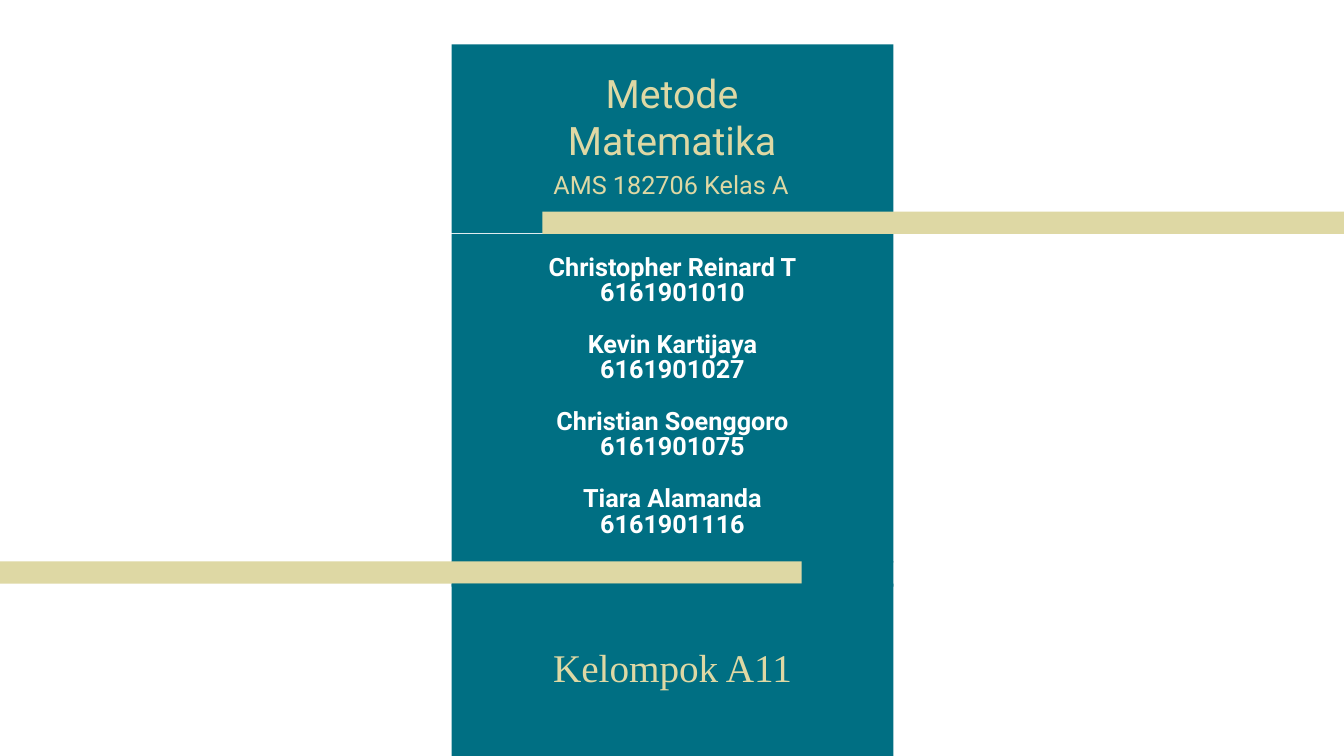
import pptx
import pptx.util
import pptx.dml.color
import pptx.enum.shapes
import pptx.enum.text

Inches = pptx.util.Inches
Pt = pptx.util.Pt
Anchor = pptx.enum.text.MSO_ANCHOR

# Content
COURSE = "Metode Matematika"
COURSE_CODE = "AMS 182706 Kelas A"
MEMBERS = [
    ("Christopher Reinard T", "6161901010"),
    ("Kevin Kartijaya", "6161901027"),
    ("Christian Soenggoro", "6161901075"),
    ("Tiara Alamanda", "6161901116"),
]
GROUP = "Kelompok A11"

# Style and grid
TEAL, SAND, WHITE = "006F83", "DED8A4", "FFFFFF"
SLIDE_WIDTH, SLIDE_HEIGHT = 13.33, 7.5
PANEL_LEFT, PANEL_WIDTH = 4.48, 4.38
BAR_WIDTH, BAR_HEIGHT = 7.95, 0.22
PANEL_TOP, MEMBERS_TOP, LOWER_BAR_TOP = 0.44, 2.32, 5.57
GROUP_TOP = LOWER_BAR_TOP + BAR_HEIGHT
MEMBER_GAP = 18.3


def colour(value):
    return pptx.dml.color.RGBColor.from_string(value)


def place(shape, left, top, width, height):
    shape.left, shape.top = Inches(left), Inches(top)
    shape.width, shape.height = Inches(width), Inches(height)


def paint(shape, fill):
    shape.fill.solid()
    shape.fill.fore_color.rgb = colour(fill)
    shape.line.fill.background()


def add_block(page, left, top, width, height, fill):
    block = page.shapes.add_shape(
        pptx.enum.shapes.MSO_SHAPE.RECTANGLE,
        Inches(left), Inches(top), Inches(width), Inches(height))
    block.shadow.inherit = False
    paint(block, fill)
    return block


def set_frame(box, anchor, margins):
    frame = box.text_frame
    frame.word_wrap = True
    frame.auto_size = pptx.enum.text.MSO_AUTO_SIZE.NONE
    frame.vertical_anchor = anchor
    (frame.margin_left, frame.margin_top,
     frame.margin_right, frame.margin_bottom) = map(Inches, margins)
    return frame


def write(para, text, size, ink, font="Roboto", bold=False, spacing=1.0, before=0):
    para.alignment = pptx.enum.text.PP_ALIGN.CENTER
    para.line_spacing = spacing
    para.space_before = Pt(before)
    span = para.add_run()
    span.text = text
    span.font.name = font
    span.font.size = Pt(size)
    span.font.bold = bold
    span.font.color.rgb = colour(ink)


def add_label(page, left, top, width, height, text, size):
    box = page.shapes.add_textbox(
        Inches(left), Inches(top), Inches(width), Inches(height))
    frame = set_frame(box, Anchor.TOP, (0.1, 0.05, 0.1, 0.05))
    write(frame.paragraphs[0], text, size, SAND)


def main():
    deck = pptx.Presentation()
    deck.slide_width, deck.slide_height = Inches(SLIDE_WIDTH), Inches(SLIDE_HEIGHT)
    page = deck.slides.add_slide(deck.slide_layouts[5])

    # Member list in the title
    title = page.shapes.title
    place(title, PANEL_LEFT, MEMBERS_TOP, PANEL_WIDTH, 3.26)
    paint(title, TEAL)
    frame = set_frame(title, Anchor.BOTTOM, (0.1, 0.08, 0.1, 0.24))
    for index, member in enumerate(MEMBERS):
        for row, text in enumerate(member):
            first = index == row == 0
            para = frame.paragraphs[0] if first else frame.add_paragraph()
            gap = MEMBER_GAP if index and row == 0 else 0
            write(para, text, 18, WHITE, bold=True, spacing=0.85, before=gap)

    # Teal panel and the two sand bars
    add_block(page, PANEL_LEFT, PANEL_TOP, PANEL_WIDTH, 1.87, TEAL)
    add_block(page, SLIDE_WIDTH - BAR_WIDTH, MEMBERS_TOP - BAR_HEIGHT,
              BAR_WIDTH, BAR_HEIGHT, SAND)
    add_block(page, PANEL_LEFT, LOWER_BAR_TOP, PANEL_WIDTH, 0.25, TEAL)
    add_block(page, 0, LOWER_BAR_TOP, BAR_WIDTH, BAR_HEIGHT, SAND)

    # Group name
    group = add_block(page, PANEL_LEFT, GROUP_TOP, PANEL_WIDTH,
                      SLIDE_HEIGHT - GROUP_TOP, TEAL)
    frame = set_frame(group, Anchor.MIDDLE, (0.1, 0.1, 0.1, 0.1))
    write(frame.paragraphs[0], GROUP, 28, SAND, font="Times New Roman", spacing=0.9)

    # Course heading
    add_label(page, 5.39, 0.64, 2.55, 1.04, COURSE, 28)
    add_label(page, 5.36, 1.63, 2.59, 0.4, COURSE_CODE, 18)

    deck.save("out.pptx")


if __name__ == "__main__":
    main()
